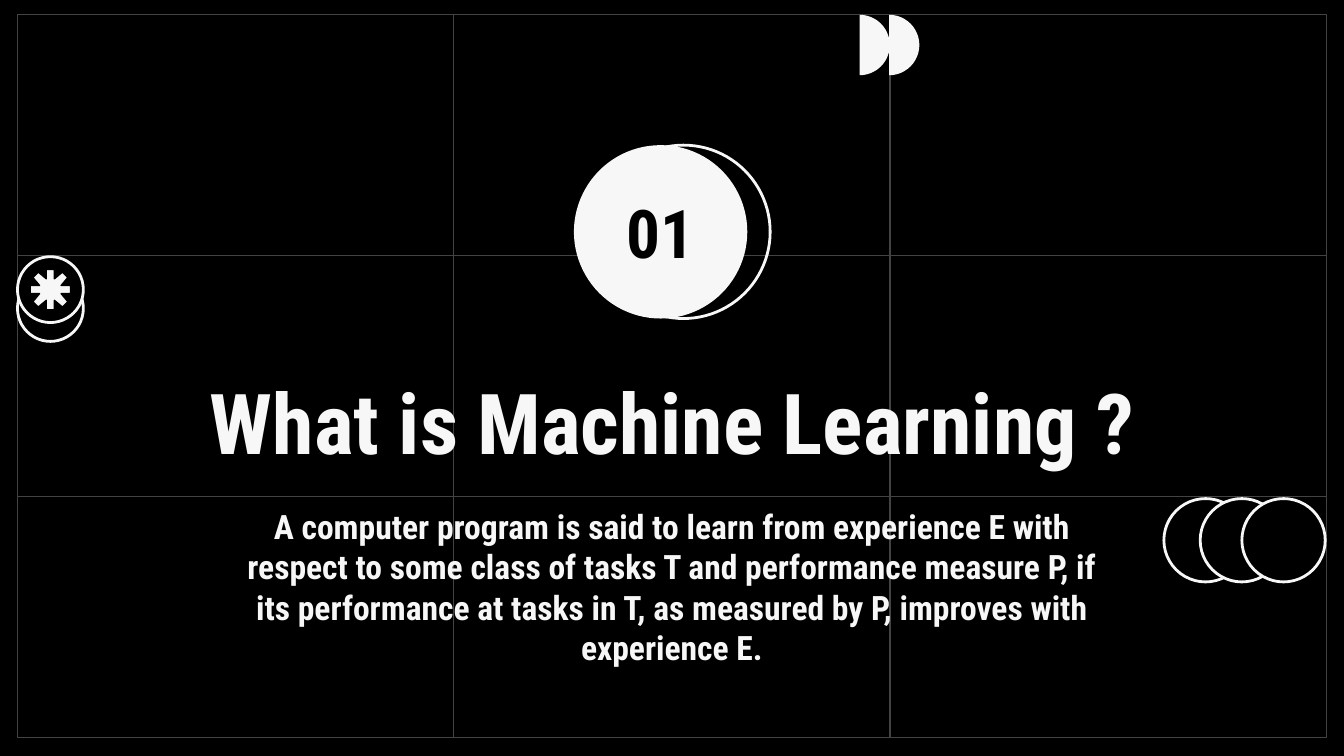
from lxml import etree
from pptx import Presentation
from pptx.dml.color import RGBColor
from pptx.enum import shapes as kinds, text as txt
from pptx.oxml import ns
from pptx.util import Inches, Pt

COLORS = {"black": "000000", "white": "F7F7F7", "grid": "434343"}
FONT = "Roboto Condensed"
SHAPE = kinds.MSO_SHAPE


def color(name):
    return RGBColor.from_string(COLORS[name])


def paint(shape, fill=None, line=None, weight=1.5):
    shape.shadow.inherit = False
    if fill:
        shape.fill.solid()
        shape.fill.fore_color.rgb = color(fill)
    else:
        shape.fill.background()
    if line:
        shape.line.color.rgb = color(line)
        shape.line.width = Pt(weight)
    else:
        shape.line.fill.background()


def add_shape(slide, kind, box, **style):
    shape = slide.shapes.add_shape(kind, *map(Inches, box))
    paint(shape, **style)
    return shape


def add_rule(slide, x1, y1, x2, y2):
    rule = slide.shapes.add_connector(
        kinds.MSO_CONNECTOR.STRAIGHT, *map(Inches, (x1, y1, x2, y2)))
    rule.line.color.rgb = color("grid")
    rule.line.width = Pt(0.75)
    etree.SubElement(rule._element.spPr, ns.qn("a:effectLst"))


def write(shape, words, size, ink="white"):
    frame = shape.text_frame
    frame.text = words
    margins = {f"margin_{side}": Inches(0.1)
               for side in ("left", "top", "right", "bottom")}
    layout = {"word_wrap": True, "auto_size": txt.MSO_AUTO_SIZE.NONE,
              "vertical_anchor": txt.MSO_ANCHOR.MIDDLE, **margins}
    for name, value in layout.items():
        setattr(frame, name, value)
    paragraph = frame.paragraphs[0]
    paragraph.alignment = txt.PP_ALIGN.CENTER
    font = paragraph.runs[0].font
    for name, value in {"name": FONT, "size": Pt(size), "bold": True}.items():
        setattr(font, name, value)
    font.color.rgb = color(ink)


def draw_grid(slide, box, parts=3):
    left, top, width, height = box
    add_shape(slide, SHAPE.RECTANGLE, box, fill="black", line="grid", weight=0.75)
    for i in range(1, parts):
        x = left + width * i / parts
        add_rule(slide, x, top, x, top + height)
    for i in range(1, parts):
        y = top + height * i / parts
        add_rule(slide, left, y, left + width, y)


def draw_half_discs(slide, box):
    left, top, size, step = box
    for i in range(2):
        half = add_shape(slide, SHAPE.PIE, (left + i * step, top, size, size),
                         fill="white")
        half.adjustments[0] = 108.11
        half.adjustments[1] = 215.89
        half.rotation = 90


def draw_star_badge(slide, box):
    left, top, size, drop = box
    add_shape(slide, SHAPE.OVAL, (left, top + drop, size, size), line="white")
    add_shape(slide, SHAPE.OVAL, (left, top, size, size), fill="black", line="white")

    # Eight-armed star: one quarter of the outline, turned four times
    quarter = [(-0.03, -0.15), (-0.03, -0.08), (-0.09, -0.13),
               (-0.13, -0.09), (-0.08, -0.03), (-0.15, -0.03)]
    outline = []
    for _ in range(4):
        outline += quarter
        quarter = [(y, -x) for x, y in quarter]
    center_x, center_y = left + size / 2, top + size / 2
    points = [(Inches(center_x + x), Inches(center_y + y)) for x, y in outline]
    builder = slide.shapes.build_freeform(*points[0])
    builder.add_line_segments(points[1:], close=True)
    paint(builder.convert_to_shape(), fill="white", line="black", weight=0.75)


def draw_heading(slide, box):
    left, top, width, height = box
    title = slide.shapes.title
    place = {"left": left, "top": top, "width": width, "height": 0.92}
    for name, value in place.items():
        setattr(title, name, Inches(value))
    write(title, "What is Machine Learning ?", 45)
    # Bring the title in front of the grid
    slide.shapes._spTree.append(title._element)

    inset, body_height = 0.39, 1.31
    definition = slide.shapes.add_textbox(*map(Inches, (
        left + inset, top + height - body_height, width - 2 * inset, body_height)))
    write(definition,
          "A computer program is said to learn from experience E with respect to "
          "some class of tasks T and performance measure P, if its performance at "
          "tasks in T, as measured by P, improves with experience E.", 18)


def draw_ring_chain(slide, box):
    left, top, size = box
    for offset in (0, 0.27, 0.58):
        add_shape(slide, SHAPE.OVAL, (left + offset, top, size, size),
                  fill="black", line="white")


def draw_section_number(slide, box):
    left, top, size, shift = box
    add_shape(slide, SHAPE.OVAL, (left + shift, top, size, size), line="white")
    disc = add_shape(slide, SHAPE.OVAL, (left, top, size, size), fill="white")
    write(disc, "01", 36, ink="black")


def main():
    deck = Presentation()
    # Widescreen, 16:9
    deck.slide_width = Inches(10)
    deck.slide_height = Inches(10) * 9 // 16
    slide = deck.slides.add_slide(deck.slide_layouts[5])
    slide.background.fill.solid()
    slide.background.fill.fore_color.rgb = color("black")

    # Backdrop and ornaments
    draw_grid(slide, (0.13, 0.11, 9.74, 5.38))
    draw_half_discs(slide, (6.17, 0.11, 0.45, 0.22))
    draw_star_badge(slide, (0.13, 1.91, 0.49, 0.14))

    # Section content
    draw_heading(slide, (1.33, 2.67, 7.34, 2.35))
    draw_ring_chain(slide, (8.66, 3.71, 0.62))
    draw_section_number(slide, (4.27, 1.08, 1.29, 0.17))

    deck.save("out.pptx")


if __name__ == "__main__":
    main()
